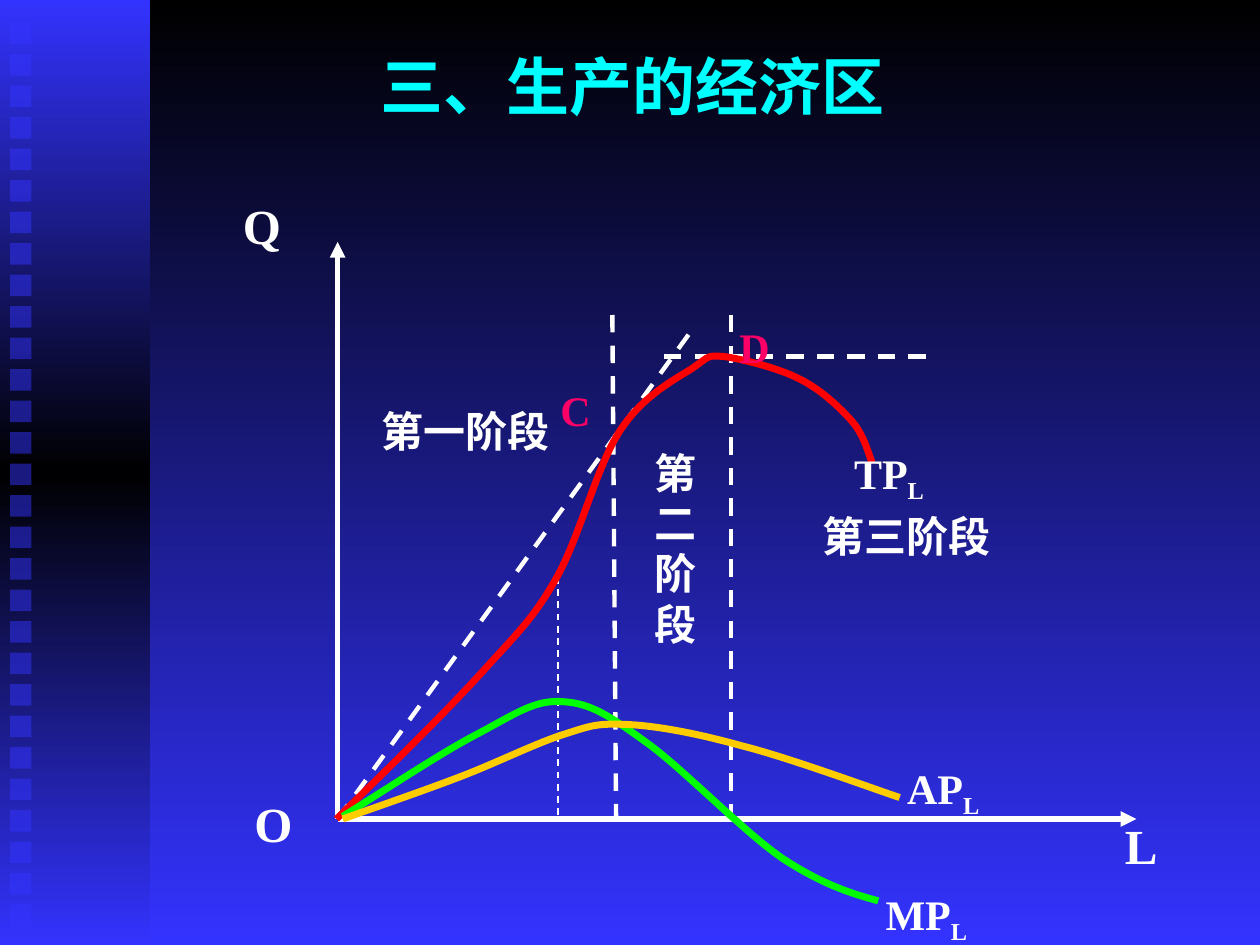
from copy import deepcopy

from lxml import etree
from pptx import Presentation
from pptx import util as u
from pptx.dml.color import RGBColor
from pptx.enum import dml, shapes, text
from pptx.oxml import ns

BLACK = RGBColor(0x00, 0x00, 0x00)
BLUE = RGBColor(0x33, 0x33, 0xFF)
WHITE = RGBColor(0xFF, 0xFF, 0xFF)
CYAN = RGBColor(0x00, 0xFF, 0xFF)
RED = RGBColor(0xFF, 0x00, 0x00)
GREEN = RGBColor(0x00, 0xFF, 0x00)
GOLD = RGBColor(0xFF, 0xCC, 0x00)
PINK = RGBColor(0xFF, 0x00, 0x66)

ORIGIN = (2.68, 6.5)
AXIS_ENDS = [(9.02, 6.5), (2.68, 1.92)]
GUIDES = [
    ((5.27, 2.83), (7.43, 2.83), 2.5),
    ((5.8, 2.5), (5.8, 6.5), 2.5),
    ((4.86, 2.5), (4.89, 6.5), 2.5),
    ((4.43, 4.58), (4.43, 6.5), 1),
    (ORIGIN, (5.52, 2.58), 2.5),
]
TOTAL_PRODUCT = [
    (2.67, 6.5), (3.1, 6.08), (3.54, 5.65), (3.83, 5.33), (4.12, 5.01),
    (4.24, 4.9), (4.42, 4.58), (4.6, 4.26), (4.74, 3.69), (4.92, 3.42),
    (5.1, 3.14), (5.36, 3.01), (5.5, 2.92), (5.64, 2.82), (5.61, 2.82),
    (5.75, 2.83), (5.89, 2.85), (6.17, 2.92), (6.33, 3), (6.5, 3.08),
    (6.65, 3.22), (6.75, 3.33), (6.85, 3.44), (6.88, 3.56), (6.92, 3.67),
]
MARGINAL_PRODUCT = [
    (2.72, 6.48), (3.12, 6.23), (3.51, 5.97), (3.8, 5.82), (4.1, 5.66),
    (4.25, 5.55), (4.47, 5.57), (4.69, 5.58), (4.85, 5.69), (5.14, 5.9),
    (5.43, 6.11), (5.91, 6.61), (6.22, 6.82), (6.53, 7.02), (6.75, 7.09),
    (6.97, 7.15),
]
AVERAGE_PRODUCT = [
    (2.72, 6.5), (3.03, 6.39), (3.35, 6.28), (3.64, 6.17), (3.93, 6.06),
    (4.25, 5.9), (4.47, 5.83), (4.69, 5.76), (4.73, 5.74), (4.97, 5.75),
    (5.21, 5.76), (5.53, 5.82), (5.89, 5.92), (6.25, 6.01), (6.93, 6.26),
    (7.14, 6.33),
]
CURVES = [(TOTAL_PRODUCT, RED), (MARGINAL_PRODUCT, GREEN), (AVERAGE_PRODUCT, GOLD)]
CURVE_LABELS = [
    ("TP", (6.68, 3.5, 0.92, 0.56)),
    ("AP", (7.1, 6, 1.08, 0.56)),
    ("MP", (6.93, 7, 0.92, 0.56)),
]
LABELS = [
    ("第一阶段", (2.93, 3.17, 1.58, 0.5), 24, WHITE),
    ("第二阶段", (5.1, 3.5, 0.67, 1.7), 24, WHITE),
    ("第三阶段", (6.43, 4, 1.67, 0.5), 24, WHITE),
    ("C", (4.35, 3, 0.67, 0.5), 24, PINK),
    ("D", (5.77, 2.5, 0.42, 0.5), 24, PINK),
    ("Q", (1.83, 1.5, 0.67, 0.57), 28, WHITE),
    ("L", (8.83, 6.42, 0.67, 0.57), 28, WHITE),
    ("O", (1.92, 6.25, 0.67, 0.57), 28, WHITE),
]


class Page:
    """Hold the style, the current slide and the current group."""

    font_name = "Times New Roman"

    def __init__(self, deck):
        self.slide = deck.slides.add_slide(deck.slide_layouts[5])
        self.shapes = self.slide.shapes

    def start_group(self):
        """Collect the next elements in a new group."""
        self.shapes = self.slide.shapes.add_group_shape().shapes

    def gradient(self, fill, element, colours):
        """Fill from top to bottom with evenly spaced colours."""
        fill.gradient()
        fill.gradient_angle = 270
        first = element.xpath(".//a:gs")[0]
        for _ in colours[2:]:
            first.addnext(deepcopy(first))
        for index, (stop, colour) in enumerate(zip(fill.gradient_stops, colours)):
            stop.position = index / (len(colours) - 1)
            stop.color.rgb = colour

    def background(self, colours):
        """Paint the slide background."""
        self.gradient(self.slide.background.fill, self.slide._element, colours)

    def rectangle(self, place):
        """Add a plain rectangle without a line."""
        box = self.shapes.add_shape(shapes.MSO_SHAPE.RECTANGLE, *map(u.Inches, place))
        box.shadow.inherit = False
        box.line.fill.background()
        return box

    def sidebar(self, place, colours):
        """Add the gradient strip."""
        box = self.rectangle(place)
        self.gradient(box.fill, box._element, colours)

    def square(self, place, colour):
        """Add a half-transparent square."""
        box = self.rectangle(place)
        box.fill.solid()
        box.fill.fore_color.rgb = colour
        paint = box._element.spPr.find(ns.qn("a:solidFill"))[0]
        etree.SubElement(paint, ns.qn("a:alpha"), val="50000")

    def line(self, start, end, width, dashed=False, arrow=False):
        """Add a straight white line."""
        line = self.shapes.add_connector(
            shapes.MSO_CONNECTOR.STRAIGHT, *map(u.Inches, start + end))
        line.line.color.rgb = WHITE
        line.line.width = u.Pt(width)
        if dashed:
            line.line.dash_style = dml.MSO_LINE.DASH
        properties = line._element.spPr
        if arrow:
            etree.SubElement(properties.find(ns.qn("a:ln")), ns.qn("a:tailEnd"), type="triangle")
        etree.SubElement(properties, ns.qn("a:effectLst"))

    def curve(self, points, colour):
        """Add an open curve, turning each three points into a Bezier segment."""
        start, *controls = [tuple(map(u.Inches, point)) for point in points]
        builder = self.shapes.build_freeform(*start)
        builder.add_line_segments(controls, close=False)
        curve = builder.convert_to_shape()
        segments = curve._element.xpath(".//a:lnTo")
        for first, second, third in zip(*[iter(segments)] * 3):
            first.tag = ns.qn("a:cubicBezTo")
            for extra in (second, third):
                first.append(extra[0])
                extra.getparent().remove(extra)
        curve.shadow.inherit = False
        curve.fill.background()
        curve.line.color.rgb = colour
        curve.line.width = u.Pt(4)

    def format(self, box, size, colour):
        """Apply the common text style."""
        frame = box.text_frame
        frame.word_wrap = True
        frame.auto_size = text.MSO_AUTO_SIZE.SHAPE_TO_FIT_TEXT
        frame.vertical_anchor = text.MSO_ANCHOR.TOP
        para = frame.paragraphs[0]
        para.alignment = text.PP_ALIGN.LEFT
        for span in para.runs:
            span.font.name = self.font_name
            span.font.size = u.Pt(size)
            span.font.bold = True
            span.font.color.rgb = colour

    def title(self, words, place):
        """Place and style the title placeholder above the sidebar."""
        box = self.slide.shapes.title
        self.slide.shapes._spTree.append(box._element)
        box.left, box.top, box.width, box.height = map(u.Inches, place)
        box.text_frame.text = words
        self.format(box, 36, CYAN)

    def label(self, words, place, size=24, colour=WHITE, subscript=None):
        """Add a text label with an optional subscript."""
        box = self.shapes.add_textbox(*map(u.Inches, place))
        box.text_frame.text = words
        if subscript:
            span = box.text_frame.paragraphs[0].add_run()
            span.text = subscript
            span.font._element.set("baseline", "-25000")
        self.format(box, size, colour)


def main():
    """Build the slide on the economic region of production."""
    deck = Presentation()
    deck.slide_width, deck.slide_height = u.Inches(10), u.Inches(7.5)
    page = Page(deck)
    page.background([BLACK, BLUE])
    page.start_group()
    page.sidebar((0, 0, 1.19, 7.5), [BLUE, BLACK, BLUE])
    for row in range(29):
        page.square((0.08, 0.18 + 0.25 * row, 0.17, 0.17), BLUE)
    page.title("三、生产的经济区", (2.92, 0.33, 5.71, 0.7))
    page.start_group()
    for end in AXIS_ENDS:
        page.line(ORIGIN, end, 3, arrow=True)
    for start, end, width in GUIDES:
        page.line(start, end, width, dashed=True)
    for points, colour in CURVES:
        page.curve(points, colour)
    for words, place in CURVE_LABELS:
        page.label(words, place, subscript="L")
    for label in LABELS:
        page.label(*label)
    deck.save("out.pptx")


if __name__ == "__main__":
    main()
